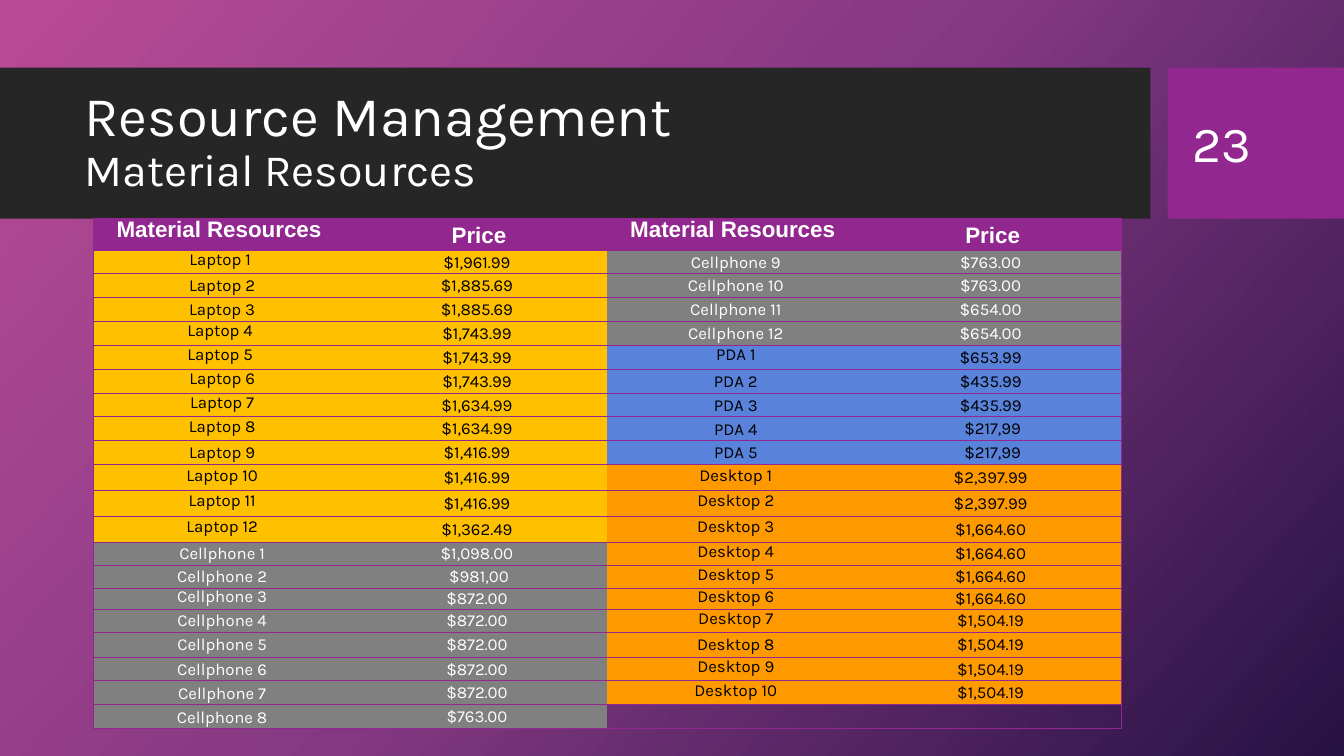
import copy
import pptx
import pptx.util
import pptx.dml.color
import pptx.enum.shapes
import pptx.enum.text
import pptx.oxml
import pptx.oxml.ns

Inches, Pt = pptx.util.Inches, pptx.util.Pt
RGB = pptx.dml.color.RGBColor
MIDDLE = pptx.enum.text.MSO_ANCHOR.MIDDLE
ALIGN = pptx.enum.text.PP_ALIGN

WHITE = RGB(0xFF, 0xFF, 0xFF)
BLACK = RGB(0x00, 0x00, 0x00)
CHARCOAL = RGB(0x26, 0x26, 0x26)
PURPLE = RGB(0x92, 0x27, 0x8F)
YELLOW = RGB(0xFF, 0xC0, 0x00)
GREY = RGB(0x80, 0x80, 0x80)
BLUE = RGB(0x59, 0x82, 0xDB)
ORANGE = RGB(0xFF, 0x99, 0x00)
BACKDROP = [(0, RGB(0xB9, 0x4B, 0x95)), (0.5, RGB(0x84, 0x38, 0x83)), (1, RGB(0x26, 0x12, 0x43))]

RESOURCES = [
    ("Laptop", YELLOW, BLACK,
     ["$1,961.99", "$1,885.69", "$1,885.69", "$1,743.99", "$1,743.99", "$1,743.99",
      "$1,634.99", "$1,634.99", "$1,416.99", "$1,416.99", "$1,416.99", "$1,362.49"]),
    ("Cellphone", GREY, WHITE,
     ["$1,098.00", "$981,00"] + ["$872.00"] * 5 + ["$763.00"] * 3 + ["$654.00"] * 2),
    ("PDA", BLUE, BLACK, ["$653.99", "$435.99", "$435.99", "$217,99", "$217,99"]),
    ("Desktop", ORANGE, BLACK, ["$2,397.99"] * 2 + ["$1,664.60"] * 4 + ["$1,504.19"] * 4),
]
TIGHT = {"Laptop": {1, 4, 5, 6, 7, 8, 10, 11, 12}, "Cellphone": {3}, "PDA": {1},
         "Desktop": {1, 2, 3, 4, 5, 6, 7, 9, 10}}
PADDED = {"Laptop 1", "Laptop 4", "Laptop 5"}
ROW_HEIGHTS = [0.32, 0.23] + [0.24] * 8 + [0.26] * 3 + [0.23] * 2 + [0.21, 0.23, 0.25] + [0.24] * 3
TABLE_WIDTH, TABLE_HEIGHT = 10.19, 5.06
ITEM_ROWS = len(ROW_HEIGHTS) - 1


def fill_cell(cell, text, fill, color, size, font, spacing):
    if fill is None:
        cell.fill.background()
    else:
        cell.fill.solid()
        cell.fill.fore_color.rgb = fill
    cell.vertical_anchor = MIDDLE
    cell.margin_left = cell.margin_right = cell.margin_top = cell.margin_bottom = 0
    p = cell.text_frame.paragraphs[0]
    p.text = text
    p.alignment = ALIGN.CENTER
    p.line_spacing = spacing
    p.font.size, p.font.name, p.font.bold = Pt(size), font, size == 16
    p.font.color.rgb = color


def add_borders(cell, sides):
    tcPr = cell._tc.get_or_add_tcPr()
    for i, side in enumerate(sides):
        tcPr.insert(i, pptx.oxml.parse_xml(
            f'<a:ln{side} {pptx.oxml.ns.nsdecls("a")} w="{Pt(0.75)}">'
            f'<a:solidFill><a:srgbClr val="{PURPLE}"/></a:solidFill></a:ln{side}>'))


prs = pptx.Presentation()
prs.slide_width, prs.slide_height = Inches(13.33), Inches(7.5)
s = prs.slides.add_slide(prs.slide_layouts[5])

bg = s.background.fill
bg.gradient()
bg.gradient_angle = 360 - 42
gsLst = s.background._cSld.find(".//" + pptx.oxml.ns.qn("a:gsLst"))
gsLst.append(copy.deepcopy(gsLst[0]))
for stop, (position, color) in zip(bg.gradient_stops, BACKDROP):
    stop.position = position
    stop.color.rgb = color

title = s.shapes.title
for left, width, color in [(0, 11.41, CHARCOAL), (11.58, 1.75, PURPLE)]:
    sp = s.shapes.add_shape(pptx.enum.shapes.MSO_SHAPE.RECTANGLE,
                            Inches(left), Inches(0.67), Inches(width), Inches(1.5))
    sp.shadow.inherit = False
    sp.fill.solid()
    sp.fill.fore_color.rgb = color
    sp.line.fill.background()
    title.element.addprevious(sp.element)

title.left, title.top, title.width, title.height = map(Inches, (0.74, 0.82, 10.51, 1.18))
tf = title.text_frame
tf.vertical_anchor = MIDDLE
tf.auto_size = pptx.enum.text.MSO_AUTO_SIZE.NONE
p = tf.paragraphs[0]
p.text = "Resource Management\vMaterial Resources"
p.alignment = ALIGN.LEFT
p.line_spacing = 0.9
p.font.name = "Karla"
p.font.color.rgb = WHITE
for r, size in zip(p.runs, (40, 32)):
    r.font.size = Pt(size)

number = s.shapes.add_textbox(Inches(11.73), Inches(0.82), Inches(1.26), Inches(1.19))
tf = number.text_frame
tf.word_wrap = True
tf.vertical_anchor = MIDDLE
p = tf.paragraphs[0]
p.text = "23"
p.font.size, p.font.name = Pt(36), "Karla"
p.font.color.rgb = WHITE

table = s.shapes.add_table(len(ROW_HEIGHTS), 4, Inches(0.93), Inches(2.17),
                           Inches(TABLE_WIDTH), Inches(TABLE_HEIGHT)).table
table._tbl.tblPr.find(pptx.oxml.ns.qn("a:tableStyleId")).text = "{2D5ABB26-0587-4C30-8999-92F81FD0307C}"
table.horz_banding = False
for row, height in zip(table.rows, ROW_HEIGHTS):
    row.height = Inches(height * TABLE_HEIGHT / sum(ROW_HEIGHTS))

for col in (0, 2):
    fill_cell(table.cell(0, col), "Material Resources ", PURPLE, WHITE, 16, "Arial", Pt(10.9))
    fill_cell(table.cell(0, col + 1), "Price", PURPLE, WHITE, 16, "Arial", 1.07)
    fill_cell(table.cell(ITEM_ROWS, col + 1), "", None, BLACK, 12, "Karla", 1.0)
    fill_cell(table.cell(ITEM_ROWS, col), "", None, BLACK, 12, "Karla", 1.0)

item = 0
for kind, fill, color, prices in RESOURCES:
    for n, price in enumerate(prices, 1):
        half, row = divmod(item, ITEM_ROWS)
        name = f"{kind} {n}"
        fill_cell(table.cell(row + 1, 2 * half), name + " " * (name in PADDED), fill, color,
                  12, "Karla", Pt(10.9) if n in TIGHT[kind] else 1.07)
        cell = table.cell(row + 1, 2 * half + 1)
        fill_cell(cell, price + " " * ("." in price), fill, color, 12, "Karla", 1.0)
        cell.margin_left = cell.margin_right = cell.margin_top = Inches(0.01)
        item += 1

for row in range(len(ROW_HEIGHTS)):
    for col, sides in enumerate(["LTB", "TB", "TB", "RTB"]):
        add_borders(table.cell(row, col), sides)

prs.save("out.pptx")
